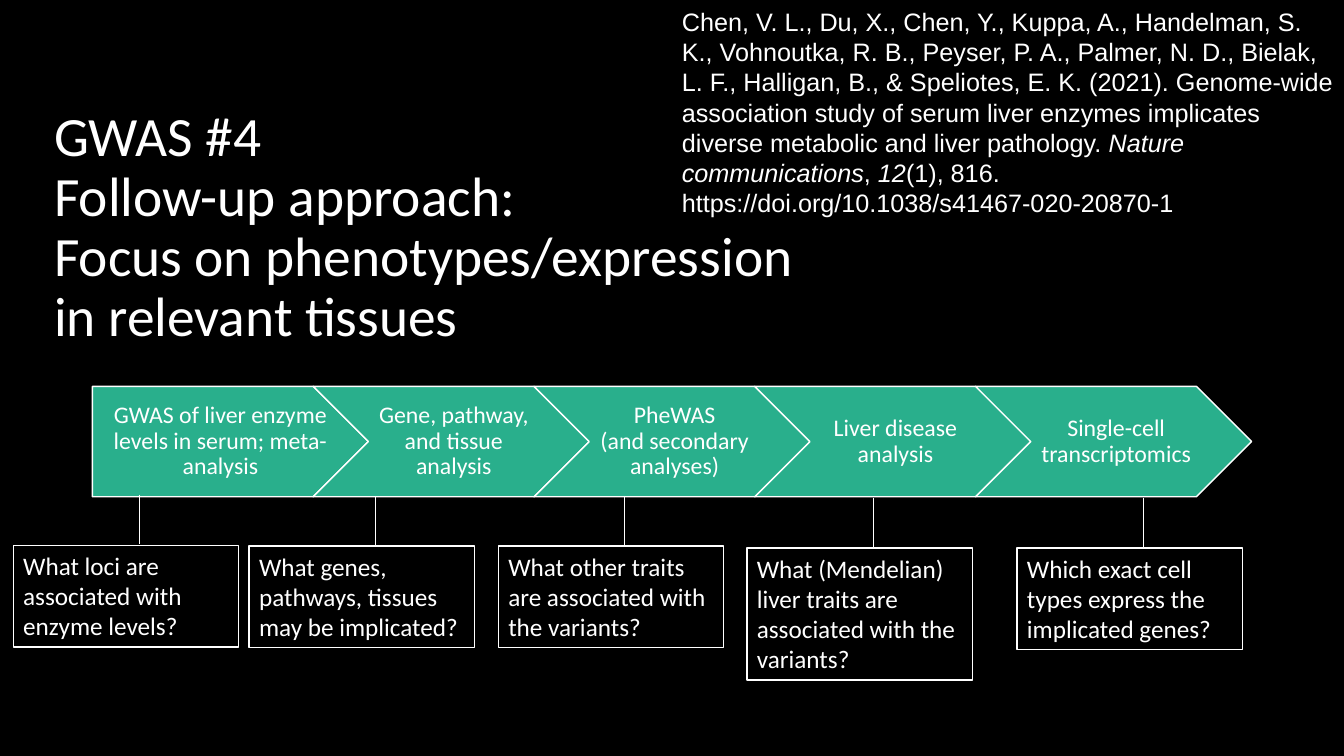
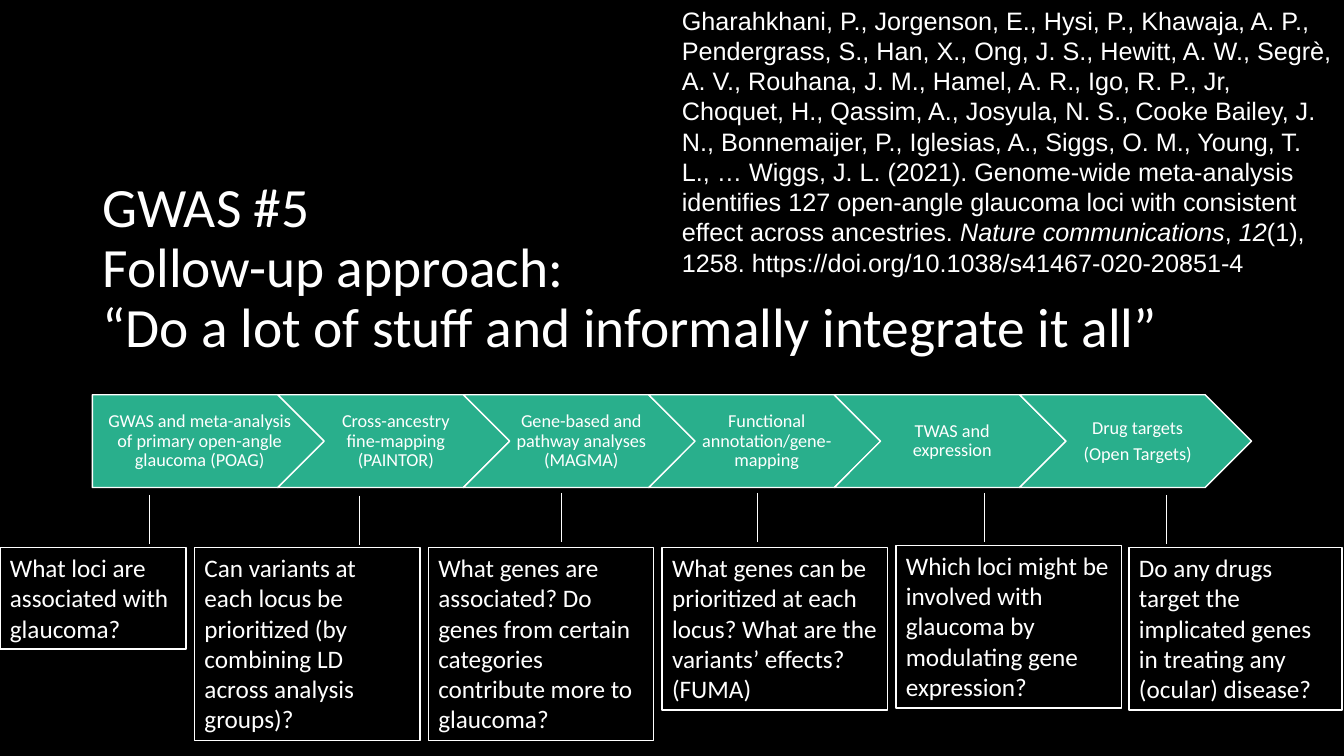
"""Build two slides on follow-up approaches for genome-wide association studies."""
from dataclasses import dataclass

from lxml import etree
from pptx import Presentation
from pptx.dml.color import RGBColor
from pptx.enum.shapes import MSO_CONNECTOR, MSO_SHAPE
from pptx.enum.text import MSO_ANCHOR, MSO_AUTO_SIZE, PP_ALIGN
from pptx.oxml.ns import qn
from pptx.util import Pt

LEFT, CENTER = PP_ALIGN.LEFT, PP_ALIGN.CENTER
TOP, MIDDLE = MSO_ANCHOR.TOP, MSO_ANCHOR.MIDDLE
GROW, FIXED = MSO_AUTO_SIZE.SHAPE_TO_FIT_TEXT, MSO_AUTO_SIZE.NONE
PLATE, CHEVRON, RECT = MSO_SHAPE.PENTAGON, MSO_SHAPE.CHEVRON, MSO_SHAPE.RECTANGLE
STRAIGHT = MSO_CONNECTOR.STRAIGHT

COLORS = {"back": "000000", "text": "FFFFFF", "step": "29AF8C"}
TITLE = {"name": "Calibri", "size": Pt(39.6)}
CITE = {"name": "Arial", "size": Pt(18)}
BODY = {"name": "Calibri", "size": Pt(18)}
CHAIN_LEFT, CHAIN_WIDTH = 66, 828
PITCH, RATIO = 0.8, 0.4
LINE, PAD = 21.8, 7.2
STEM = 35


@dataclass
class Ask:
    left: float
    top: float
    lines: int
    text: str
    stem: float = 90
    rise: float = 36
    wide: float = 161


@dataclass
class Page:
    title: str
    spot: tuple[float, float]
    cite: list[str]
    head: tuple[float, float]
    steps: list[str]
    chain: float
    size: float
    asks: list[Ask]


PAGES = [
    Page(
        "GWAS #4\vFollow-up approach:\vFocus on phenotypes/expression\vin relevant tissues",
        (31.5, 111),
        ["Chen, V. L., Du, X., Chen, Y., Kuppa, A., Handelman, S. K., Vohnoutka, R. B., "
         "Peyser, P. A., Palmer, N. D., Bielak, L. F., Halligan, B., & Speliotes, E. K. "
         "(2021). Genome-wide association study of serum liver enzymes implicates diverse "
         "metabolic and liver pathology. ",
         "Nature communications", ", ", "12",
         "(1), 816. https://doi.org/10.1038/s41467-020-20870-1"],
        (1, 160),
        ["GWAS of liver enzyme levels in serum; meta-analysis",
         "Gene, pathway, and tissue analysis",
         "PheWAS\v(and secondary analyses)",
         "Liver disease analysis",
         "Single-cell transcriptomics"],
        276, 17,
        [Ask(9.5, 389.5, 3, "What loci are associated with enzyme levels?"),
         Ask(178, 390, 3, "What genes, pathways, tissues may be implicated?"),
         Ask(356, 390, 3, "What other traits are associated with the variants?"),
         Ask(533.5, 391.5, 4,
             "What (Mendelian) liver traits are associated with the variants?"),
         Ask(726.5, 391.5, 3, "Which exact cell types express the implicated genes?")],
    ),
    Page(
        "GWAS #5\vFollow-up approach:\v“Do a lot of stuff and informally integrate it all”",
        (66, 140.5),
        ["Gharahkhani, P., Jorgenson, E., Hysi, P., Khawaja, A. P., Pendergrass, S., "
         "Han, X., Ong, J. S., Hewitt, A. W., Segrè, A. V., Rouhana, J. M., Hamel, A. R., "
         "Igo, R. P., Jr, Choquet, H., Qassim, A., Josyula, N. S., Cooke Bailey, J. N., "
         "Bonnemaijer, P., Iglesias, A., Siggs, O. M., Young, T. L., … Wiggs, J. L. (2021). "
         "Genome-wide meta-analysis identifies 127 open-angle glaucoma loci with "
         "consistent effect across ancestries. ",
         "Nature communications", ", ", "12",
         "(1), 1258. https://doi.org/10.1038/s41467-020-20851-4"],
        (0, 204),
        ["GWAS and meta-analysis of primary open-angle glaucoma (POAG)",
         "Cross-ancestry fine-mapping (PAINTOR)",
         "Gene-based and pathway analyses (MAGMA)",
         "Functional annotation/gene-mapping",
         "TWAS and expression",
         "Drug targets\n(Open Targets)"],
        282, 13,
        [Ask(0, 391, 3, "What loci are associated with glaucoma?", 107, 37.5, 133),
         Ask(139, 391, 6, "Can variants at each locus be prioritized "
             "(by combining LD across analysis groups)?", 118, 37),
         Ask(306, 391, 6, "What genes are associated? Do genes from certain categories "
             "contribute more to glaucoma?", 95, 39),
         Ask(473, 391, 5, "What genes can be prioritized at each locus? "
             "What are the variants’ effects? (FUMA)", 68, 39),
         Ask(640, 389.5, 5, "Which loci might be involved with glaucoma by modulating "
             "gene expression?", 63.5, 37.5),
         Ask(806.5, 391, 5, "Do any drugs target the implicated genes in treating any "
             "(ocular) disease?", 26.5, 37.5, 152)],
    ),
]


def tint(name: str) -> RGBColor:
    return RGBColor.from_string(COLORS[name])


def apply(item, style: dict) -> None:
    for key, value in style.items():
        setattr(item, key, value)


def style_text(frame, font: dict, para: dict, box: dict) -> None:
    apply(frame, {"word_wrap": True, **box})
    for line in frame.paragraphs:
        apply(line, para)
        for run in line.runs:
            apply(run.font, font)
            run.font.color.rgb = tint("text")


def add_box(slide, kind, area: tuple, fill: str = ""):
    box = slide.shapes.add_shape(kind, *map(Pt, area))
    box.shadow.inherit = False
    if fill:
        box.fill.solid()
        box.fill.fore_color.rgb = tint(fill)
    else:
        box.fill.background()
    box.line.color.rgb = tint("text")
    box.line.width = Pt(1)
    return box


def add_title(slide, page: Page) -> None:
    title = slide.shapes.title
    left, top = page.spot
    apply(title, {"left": Pt(left), "top": Pt(top), "width": Pt(828), "height": Pt(104.4)})
    title.text_frame.text = page.title
    style_text(title.text_frame, TITLE, {"alignment": LEFT, "line_spacing": 0.9},
               {"vertical_anchor": MIDDLE, "auto_size": FIXED})


def add_cite(slide, page: Page) -> None:
    top, high = page.head
    frame = slide.shapes.add_textbox(Pt(480), Pt(top), Pt(480), Pt(high)).text_frame
    for i, part in enumerate(page.cite):
        run = frame.paragraphs[0].add_run()
        run.text = part
        run.font.italic = i % 2 == 1
    style_text(frame, CITE, {"alignment": LEFT}, {"auto_size": GROW})


def add_chain(slide, page: Page) -> None:
    wide = CHAIN_WIDTH / (1 + PITCH * (len(page.steps) - 1))
    size = page.size
    font = {"name": "Calibri", "size": Pt(size)}
    para = {"alignment": CENTER, "line_spacing": 0.9, "space_after": Pt(0.35 * size)}
    for i, text in enumerate(page.steps):
        area = (CHAIN_LEFT + i * PITCH * wide, page.chain, wide, RATIO * wide)
        step = add_box(slide, CHEVRON if i else PLATE, area, "step")
        step.text_frame.text = text
        inset = {"margin_left": Pt(size * (0.32 if i else 0.42)),
                 "margin_right": Pt(size * 0.1),
                 "margin_top": Pt(size * 0.21), "margin_bottom": Pt(size * 0.21)}
        style_text(step.text_frame, font, para, {"vertical_anchor": MIDDLE, **inset})


def add_ask(slide, ask: Ask) -> None:
    x, y = ask.left + ask.stem, ask.top - ask.rise
    stem = slide.shapes.add_connector(STRAIGHT, Pt(x), Pt(y), Pt(x), Pt(y + STEM))
    stem.line.color.rgb = tint("text")
    stem.line.width = Pt(0.5)
    etree.SubElement(stem._element.spPr, qn("a:effectLst"))
    box = add_box(slide, RECT, (ask.left, ask.top, ask.wide, PAD + LINE * ask.lines))
    box.text_frame.text = ask.text
    style_text(box.text_frame, BODY, {"alignment": LEFT},
               {"vertical_anchor": TOP, "auto_size": GROW})


def main() -> None:
    deck = Presentation()
    apply(deck, {"slide_width": Pt(960), "slide_height": Pt(540)})
    back = deck.slide_master.background.fill
    back.solid()
    back.fore_color.rgb = tint("back")
    for page in PAGES:
        slide = deck.slides.add_slide(deck.slide_layouts[5])
        add_title(slide, page)
        add_cite(slide, page)
        add_chain(slide, page)
        for ask in page.asks:
            add_ask(slide, ask)
    deck.save("out.pptx")


if __name__ == "__main__":
    main()
